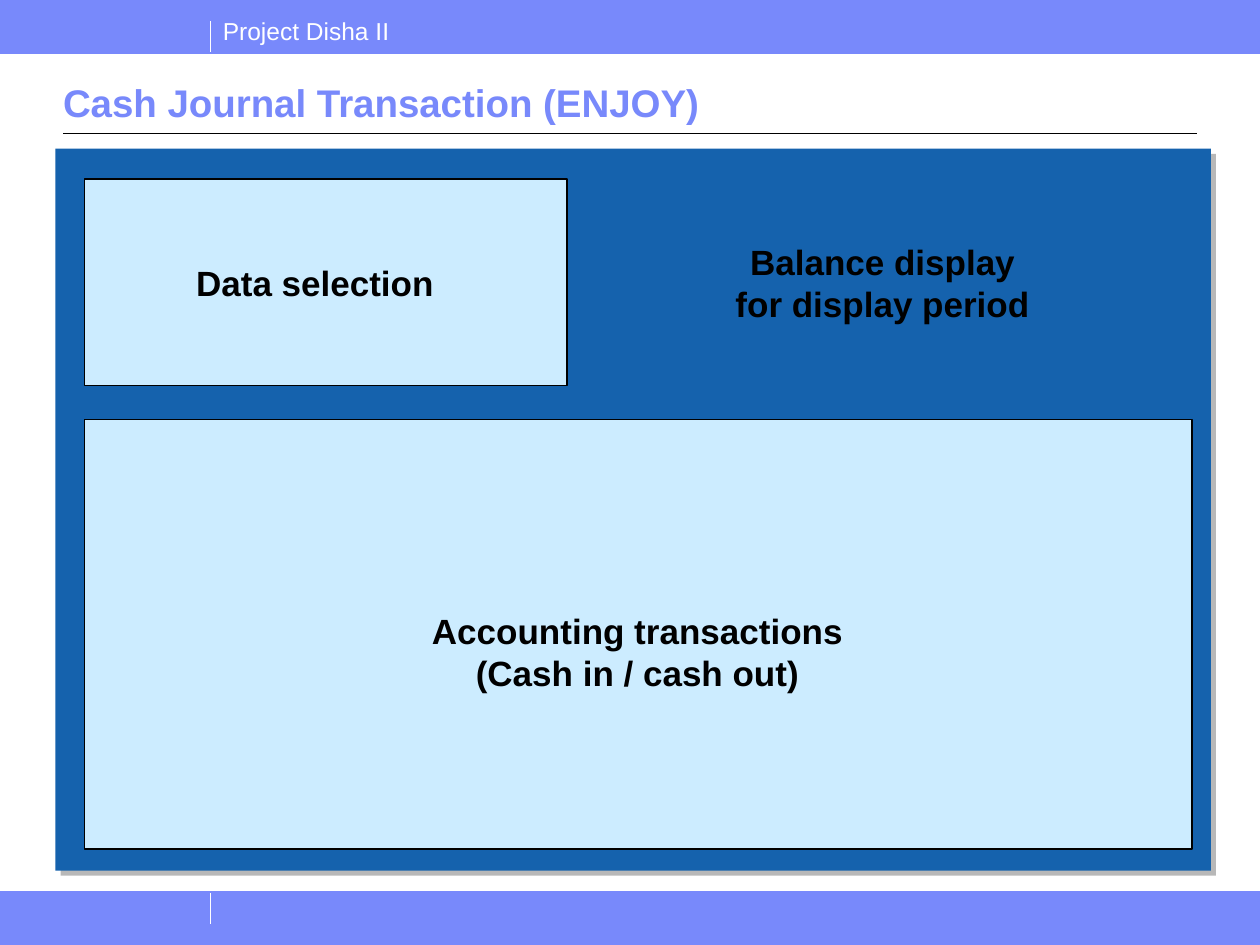
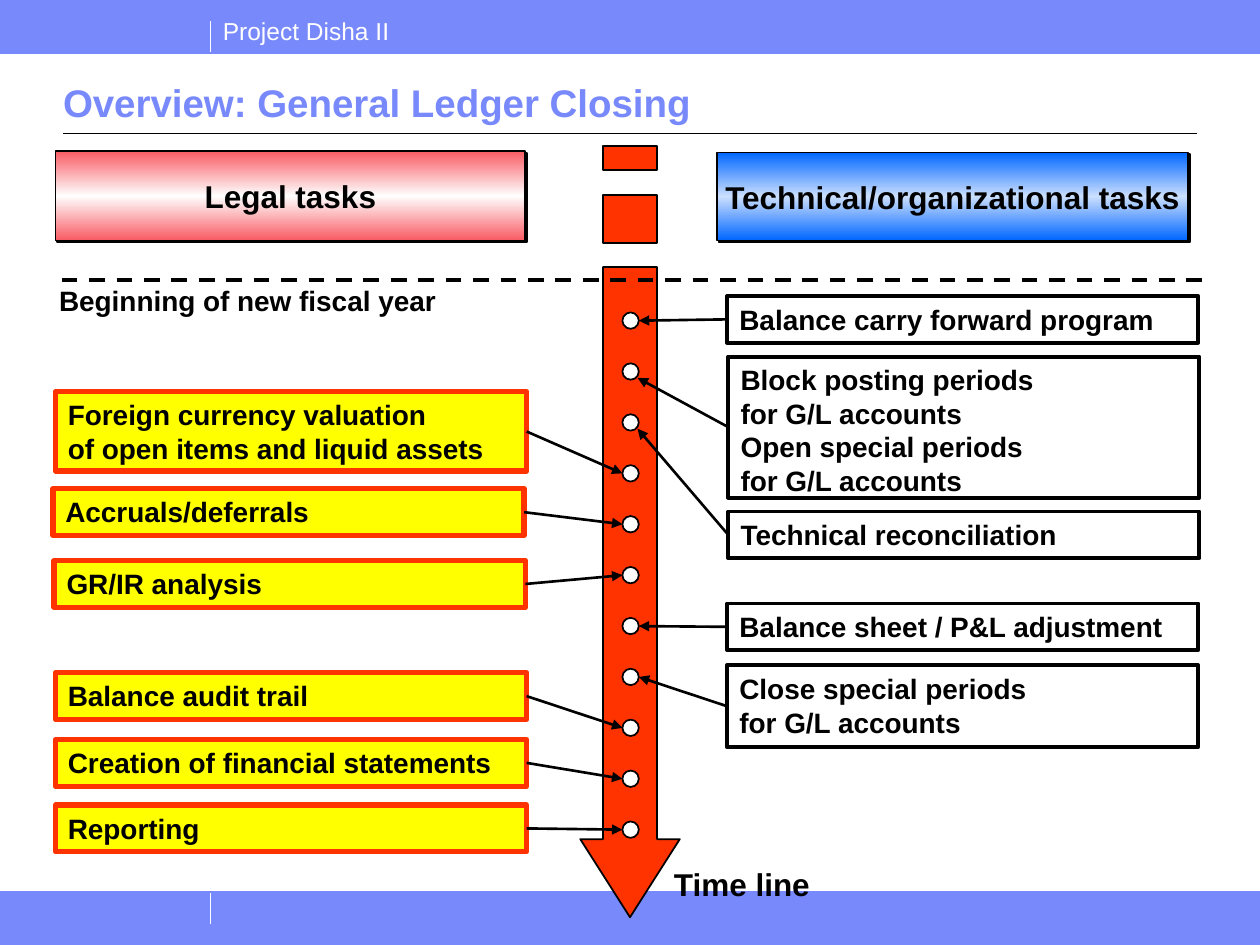
"""Build two slides on cash journal transactions and general ledger closing."""
import copy
from dataclasses import dataclass

from lxml import etree
from pptx import Presentation, util as u
from pptx.dml.color import RGBColor
from pptx.enum import dml, shapes, text
from pptx.oxml.ns import qn


@dataclass(frozen=True)
class Theme:
    """Colours, font and type sizes of the deck."""
    band: str = "7889FB"
    white: str = "FFFFFF"
    black: str = "000000"
    panel: str = "1562AD"
    panel_shadow: str = "727272"
    field: str = "CCECFF"
    legal: str = "FFFF00"
    red: str = "FF3300"
    legal_header: tuple = ("F95B63", "FEFEFE", "F95B63")
    technical_header: tuple = ("0066FF", "CBDFFE", "0066FF")
    font: str = "Arial"
    title: int = 22
    label: int = 20
    header: int = 18
    task: int = 16
    banner: int = 14


T = Theme()
RECT, OVAL = shapes.MSO_SHAPE.RECTANGLE, shapes.MSO_SHAPE.OVAL
TOP, MIDDLE, BOTTOM = text.MSO_ANCHOR.TOP, text.MSO_ANCHOR.MIDDLE, text.MSO_ANCHOR.BOTTOM
LEFT, CENTER = text.PP_ALIGN.LEFT, text.PP_ALIGN.CENTER


def put(sp, words="", fill=None, line=None, width=1, shadow=None, size=T.task,
        color=T.black, bold=True, align=LEFT, anchor=TOP, margins=(0.1, 0.05), wrap=True):
    """Format a shape and write its text, one paragraph a line."""
    sp.shadow.inherit = False
    if isinstance(fill, tuple):
        sp.fill.gradient()
        gs_lst = sp._element.spPr.find(".//" + qn("a:gsLst"))
        gs_lst.append(copy.deepcopy(gs_lst[0]))
        for stop, rgb, position in zip(sp.fill.gradient_stops, fill, (0, 0.5, 1)):
            stop.color.rgb = RGBColor.from_string(rgb)
            stop.position = position
        sp.fill.gradient_angle = 90
    elif fill:
        sp.fill.solid()
        sp.fill.fore_color.rgb = RGBColor.from_string(fill)
    else:
        sp.fill.background()
    if line:
        sp.line.color.rgb = RGBColor.from_string(line)
        sp.line.width = u.Pt(width)
    else:
        sp.line.fill.background()
    if shadow:
        rgb, opacity, distance = shadow
        effects = sp._element.spPr.find(qn("a:effectLst"))
        outer = etree.SubElement(effects, qn("a:outerShdw"), dist=str(u.Pt(distance)),
                                 dir="2700000", algn="ctr", rotWithShape="0")
        clr = etree.SubElement(outer, qn("a:srgbClr"), val=rgb)
        etree.SubElement(clr, qn("a:alpha"), val=str(opacity * 1000))
    if not words:
        return sp
    tf = sp.text_frame
    tf.auto_size = text.MSO_AUTO_SIZE.NONE
    tf.word_wrap = wrap
    tf.vertical_anchor = anchor
    tf.margin_left = tf.margin_right = u.Inches(margins[0])
    tf.margin_top = tf.margin_bottom = u.Inches(margins[1])
    for i, row in enumerate(words.split("\n")):
        p = tf.add_paragraph() if i else tf.paragraphs[0]
        p.alignment = align
        r = p.add_run()
        r.text = row
        r.font.name, r.font.size, r.font.bold = T.font, u.Pt(size), bold
        r.font.color.rgb = RGBColor.from_string(color)
    return sp


def link(s, start, end, color=T.black, width=0.75):
    """Draw a straight line without a shadow."""
    cx = s.shapes.add_connector(shapes.MSO_CONNECTOR.STRAIGHT, *map(u.Inches, start + end))
    cx.line.color.rgb = RGBColor.from_string(color)
    cx.line.width = u.Pt(width)
    etree.SubElement(cx._element.spPr, qn("a:effectLst"))
    return cx


prs = Presentation()
prs.slide_width, prs.slide_height = u.Inches(10), u.Inches(7.5)

slides = []
for title in ("Cash Journal Transaction (ENJOY)", "Overview: General Ledger Closing"):
    s = prs.slides.add_slide(prs.slide_layouts[5])
    for top in (7.08, 0):
        band = s.shapes.add_shape(RECT, *map(u.Inches, (0, top, 10, 0.42)))
        put(band, fill=T.band, line=T.band, width=0.75)
    banner = s.shapes.add_textbox(*map(u.Inches, (1.67, 0.08, 1.52, 0.34)))
    put(banner, "Project Disha II", size=T.banner, color=T.white, bold=False, wrap=False)
    for bottom in (0.42, 7.33):
        link(s, (1.67, bottom), (1.67, bottom - 0.25), T.white)
    for edge in (0.42, 7.08):
        link(s, (0, edge), (10, edge), T.band, 0.5)
    link(s, (0.5, 1.06), (9.5, 1.06))
    sp = s.shapes.title
    sp.left, sp.top, sp.width, sp.height = map(u.Inches, (0.5, 0.54, 9, 0.5))
    put(sp, title, size=T.title, color=T.band, anchor=BOTTOM, margins=(0, 0.05))
    slides.append(s)

journal, closing = slides

panel = journal.shapes.add_shape(RECT, *map(u.Inches, (0.44, 1.18, 9.17, 5.73)))
put(panel, fill=T.panel, shadow=(T.panel_shadow, 50, 4.2))
for at in ((0.67, 3.33, 8.79, 3.41), (0.67, 1.42, 3.83, 1.64)):
    put(journal.shapes.add_shape(RECT, *map(u.Inches, at)), fill=T.field, line=T.black)
selection = journal.shapes.add_shape(RECT, *map(u.Inches, (1.5, 2.02, 2, 0.44)))
put(selection, "Data selection", fill=T.field, size=T.label, align=CENTER,
    anchor=MIDDLE, margins=(0, 0))
for words, at in (
    ("Accounting transactions\n(Cash in / cash out)", (3.33, 4.79, 3.46, 0.77)),
    ("Balance display for display period", (5.67, 1.86, 2.67, 0.77)),
):
    sp = journal.shapes.add_textbox(*map(u.Inches, at))
    put(sp, words, size=T.label, align=CENTER)

axis, shaft, head = 5, 0.215, 0.395
fb = None
for outline in (
    ((-shaft, 2.12), (shaft, 2.12), (shaft, 6.66), (head, 6.66),
     (0, 7.28), (-head, 6.66), (-shaft, 6.66)),
    ((-shaft, 1.16), (shaft, 1.16), (shaft, 1.35), (-shaft, 1.35)),
    ((-shaft, 1.55), (shaft, 1.55), (shaft, 1.93), (-shaft, 1.93)),
):
    points = [(u.Inches(axis + dx), u.Inches(y)) for dx, y in outline]
    if fb is None:
        fb = closing.shapes.build_freeform(*points[0])
    else:
        fb.move_to(*points[0])
    fb.add_line_segments(points[1:], close=True)
put(fb.convert_to_shape(), fill=T.red, line=T.black)

for words, at, colors in (
    ("Legal tasks", (0.44, 1.2, 3.73, 0.71), T.legal_header),
    ("Technical/organizational tasks", (5.69, 1.21, 3.74, 0.7), T.technical_header),
):
    sp = closing.shapes.add_shape(RECT, *map(u.Inches, at))
    put(sp, words, fill=colors, line=T.black, shadow=(T.black, 100, 1.4), size=T.header,
        align=CENTER, anchor=MIDDLE, margins=(0, 0))

year_start = link(closing, (0.49, 2.22), (9.6, 2.22), width=2.25)
year_start.line.dash_style = dml.MSO_LINE.DASH
for words, at, size in (
    ("Beginning of new fiscal year", (0.37, 2.2, 3.19, 0.37), T.task),
    ("Time line", (5.25, 6.82, 1.28, 0.4), T.header),
):
    put(closing.shapes.add_textbox(*map(u.Inches, at)), words, size=size, wrap=False)

dot_size, first_dot, dot_step = 0.13, 2.545, 0.404
dots = [first_dot + dot_step * i for i in range(11)]
for y in dots:
    at = (axis + 0.005 - dot_size / 2, y - dot_size / 2, dot_size, dot_size)
    put(closing.shapes.add_shape(OVAL, *map(u.Inches, at)), fill=T.white, line=T.black)

legal_tasks = (
    (3, 0.44, 3.11, 0.63, "Foreign currency valuation\nof open items and liquid assets"),
    (4, 0.42, 3.88, 0.37, "Accruals/deferrals"),
    (5, 0.43, 4.45, 0.37, "GR/IR analysis"),
    (8, 0.44, 5.34, 0.37, "Balance audit trail"),
    (9, 0.44, 5.87, 0.37, "Creation of financial statements"),
    (10, 0.44, 6.39, 0.37, "Reporting"),
)
technical_tasks = (
    (0, 5.77, 2.35, 0.37, "Balance carry forward program"),
    (1, 5.78, 2.83, 1.12, "Block posting periods\nfor G/L accounts\n"
                          "Open special periods\nfor G/L accounts"),
    (2, 5.78, 4.06, 0.37, "Technical reconciliation"),
    (6, 5.77, 4.79, 0.37, "Balance sheet / P&L adjustment"),
    (7, 5.77, 5.28, 0.65, "Close special periods\nfor G/L accounts"),
)
for tasks, fill, color, width, site, dot_side in (
    (legal_tasks, T.legal, T.red, 3, 3, 4.94),
    (technical_tasks, None, T.black, 2.25, 1, 5.07),
):
    for dot, left, top, height, words in tasks:
        sp = closing.shapes.add_shape(RECT, *map(u.Inches, (left, top, 3.74, height)))
        put(sp, words, fill=fill, line=color, width=width)
        middle = top + height / 2
        steep = middle - dots[dot] > 0.4
        end = (dot_side - 0.01, dots[dot] + 0.05) if steep else (dot_side, dots[dot])
        cx = link(closing, (left, middle), end, width=1.5)
        cx.begin_connect(sp, site)
        etree.SubElement(cx.line._get_or_add_ln(), qn("a:tailEnd"), type="triangle")

prs.save("out.pptx")
